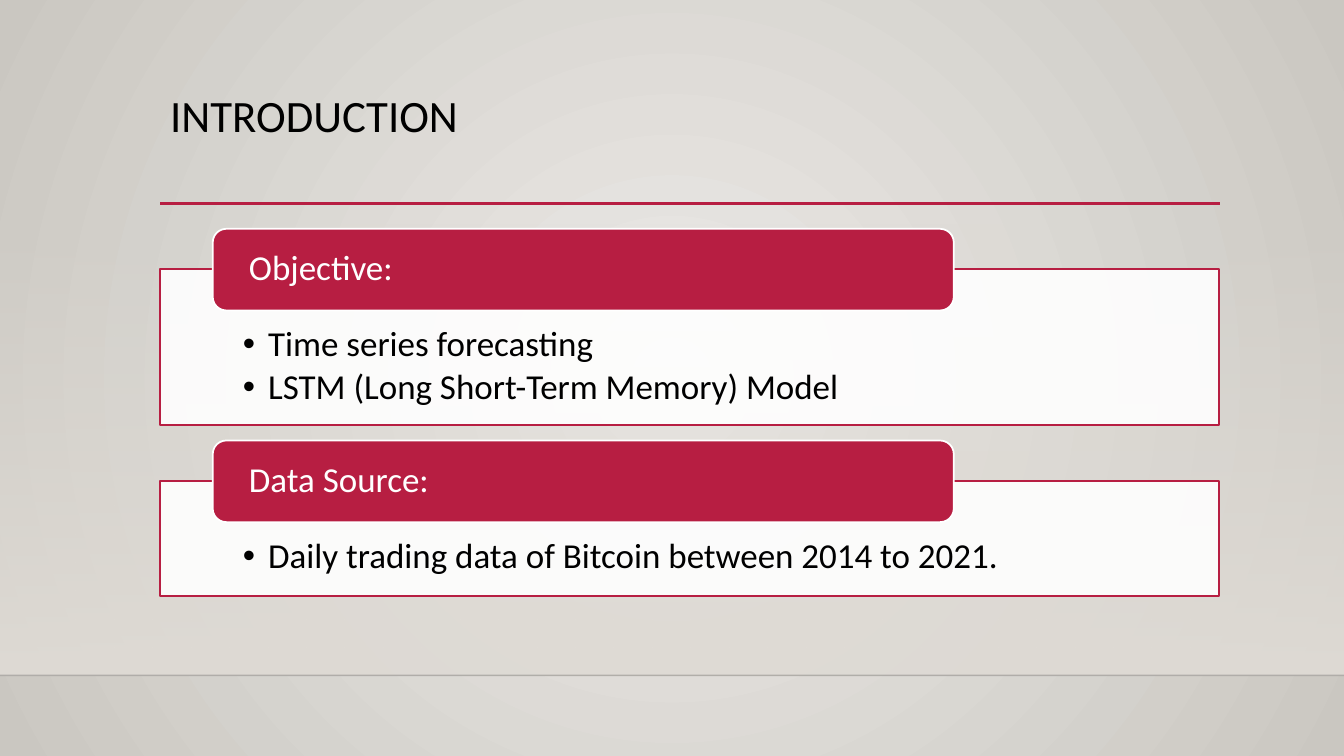
from dataclasses import dataclass

from lxml.etree import SubElement
from pptx import Presentation
from pptx.dml.color import RGBColor
from pptx.dml.fill import FillFormat
from pptx.enum.shapes import MSO_CONNECTOR as Connector, MSO_SHAPE as Shape
from pptx.enum.text import MSO_ANCHOR as Anchor, PP_ALIGN as Align
from pptx.oxml.ns import qn
from pptx.slide import Slide
from pptx.text.text import TextFrame
from pptx.util import Inches, Pt

ACCENT, WHITE, BLACK, SAND = "B71E42", "FFFFFF", "000000", "DFDBD5"
FONT = "Calibri"
LEFT, WIDTH = 1.59, 10.5
TAB_LEFT, TAB_WIDTH, TAB_HEIGHT, TAB_RISE = 2.11, 7.35, 0.81, 0.4


@dataclass
class Section:
    """A panel of bullets with a heading tab on its upper edge."""
    heading: str
    bullets: list[str]
    top: float
    height: float


SECTIONS = [
    Section("Objective:", ["Time series forecasting", "LSTM (Long Short-Term Memory) Model"], 2.67, 1.55),
    Section("Data Source:", ["Daily trading data of Bitcoin between 2014 to 2021."], 4.77, 1.14),
]


def color(value: str) -> RGBColor:
    """Turn a hex string into a colour."""
    return RGBColor.from_string(value)


def set_alpha(element, percent: int) -> None:
    """Give a colour inside the element its opacity."""
    tint = next(element.iter(qn("a:srgbClr")))
    SubElement(tint, qn("a:alpha"), val=str(percent * 1000))


def set_gradient(fill: FillFormat, start: str, end: str) -> None:
    """Fill with two colours running downwards."""
    fill.gradient()
    fill.gradient_angle = 270
    for stop, value, position in zip(fill.gradient_stops, (start, end), (0, 1)):
        stop.color.rgb = color(value)
        stop.position = position


def paint_background(page: Slide) -> None:
    """Give the page a round gradient that is lightest in the centre."""
    set_gradient(page.background.fill, "ECEAE7", "CAC7C1")
    gradient = next(page.element.iter(qn("a:gradFill")))
    gradient.remove(gradient.find(qn("a:lin")))
    circle = SubElement(gradient, qn("a:path"), path="circle")
    SubElement(circle, qn("a:fillToRect"), l="50000", t="50000", r="50000", b="50000")


def add_box(page: Slide, kind: Shape, left: float, top: float, width: float, height: float,
            fill: str, line: str | None = None):
    """Add a flat preset shape."""
    box = page.shapes.add_shape(kind, Inches(left), Inches(top), Inches(width), Inches(height))
    box.shadow.inherit = False
    box.fill.solid()
    box.fill.fore_color.rgb = color(fill)
    if line:
        box.line.color.rgb = color(line)
        box.line.width = Pt(1.25)
    else:
        box.line.fill.background()
    return box


def add_rule(page: Slide, left: float, right: float, top: float, line: str, width: float):
    """Add a horizontal line."""
    rule = page.shapes.add_connector(Connector.STRAIGHT, Inches(left), Inches(top), Inches(right), Inches(top))
    rule.line.color.rgb = color(line)
    rule.line.width = Pt(width)
    SubElement(rule.element.spPr, qn("a:effectLst"))
    return rule


def write(frame: TextFrame, lines: list[str], *, size: float, ink: str,
          insets: tuple[float, float, float, float], anchor: Anchor = Anchor.TOP,
          bullet: bool = False, after: float = 0) -> None:
    """Write one paragraph for each line."""
    frame.word_wrap = True
    frame.vertical_anchor = anchor
    frame.margin_left, frame.margin_top, frame.margin_right, frame.margin_bottom = map(Inches, insets)
    for index, text in enumerate(lines):
        para = frame.add_paragraph() if index else frame.paragraphs[0]
        para.alignment = Align.LEFT
        para.line_spacing = 0.9
        para.space_after = Pt(after)
        span = para.add_run()
        span.text = text
        span.font.name, span.font.size = FONT, Pt(size)
        span.font.color.rgb = color(ink)
        if bullet:
            properties = para._p.get_or_add_pPr()
            properties.set("marL", str(Inches(0.25)))
            properties.set("indent", str(-Inches(0.25)))
            SubElement(properties, qn("a:buFont"), typeface="Arial")
            SubElement(properties, qn("a:buChar"), char="•")


def add_section(page: Slide, section: Section) -> None:
    """Draw a panel and its heading tab."""
    panel = add_box(page, Shape.RECTANGLE, LEFT, section.top, WIDTH, section.height, WHITE, ACCENT)
    set_alpha(panel.element, 90)
    write(panel.text_frame, section.bullets, size=25, ink=BLACK,
          insets=(0.82, 0.57, 0.82, 0.19), bullet=True, after=3.75)
    tab = add_box(page, Shape.ROUNDED_RECTANGLE, TAB_LEFT, section.top - TAB_RISE,
                  TAB_WIDTH, TAB_HEIGHT, ACCENT, WHITE)
    write(tab.text_frame, [section.heading], size=25, ink=WHITE,
          insets=(0.32, 0, 0.32, 0), anchor=Anchor.MIDDLE)


def main() -> None:
    """Build and save the deck."""
    deck = Presentation()
    deck.slide_width, deck.slide_height = Inches(13.33), Inches(7.5)
    page = deck.slides.add_slide(deck.slide_layouts[6])
    paint_background(page)

    wall = add_box(page, Shape.RECTANGLE, 0, 2.21, 13.33, 4.49, SAND)
    set_gradient(wall.fill, SAND, SAND)
    set_alpha(wall.element, 0)
    floor_edge = add_rule(page, 0, 13.33, 6.7, "000001", 1)
    set_alpha(floor_edge.element, 20)
    add_rule(page, LEFT, 12.1, 2.02, ACCENT, 2.5)

    title = page.shapes.add_textbox(Inches(LEFT), Inches(0.88), Inches(WIDTH), Inches(1.15))
    write(title.text_frame, ["INTRODUCTION"], size=32, ink=BLACK, insets=(0.1, 0.05, 0.1, 0.05))
    for section in SECTIONS:
        add_section(page, section)
    deck.save("out.pptx")


main()
